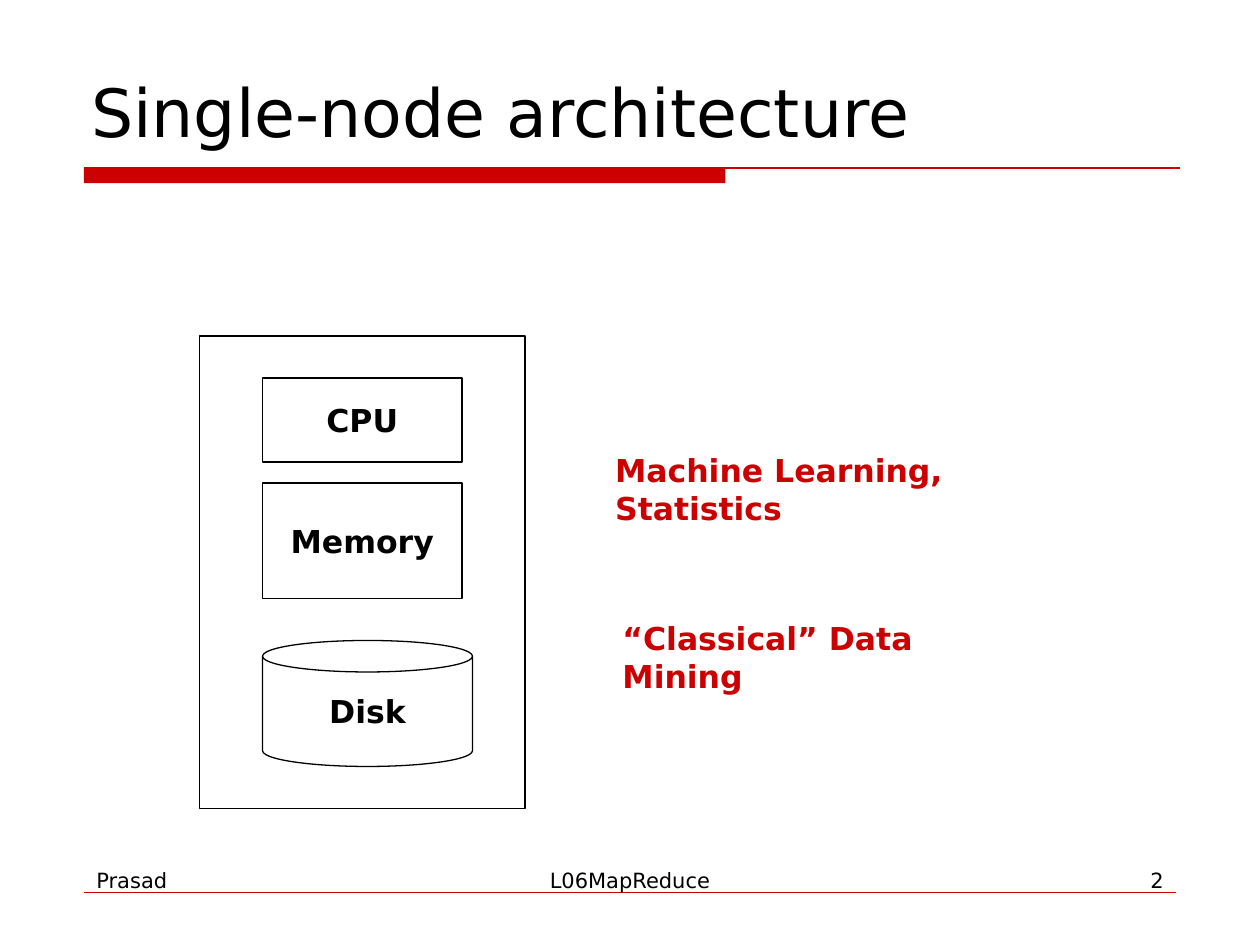
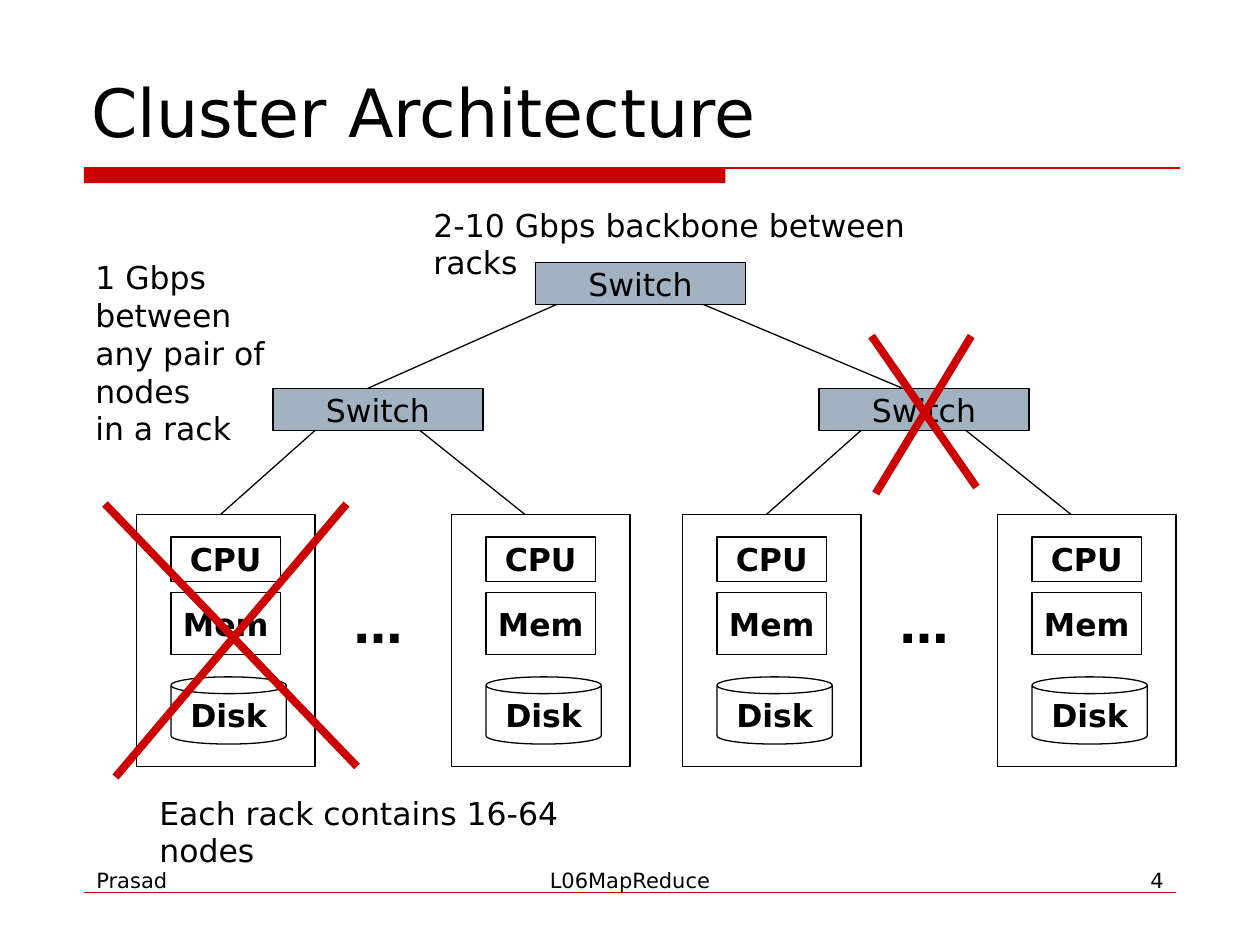
"""Build two slides on single-node and cluster architecture."""
import pptx
import pptx.dml.color
import pptx.enum.shapes
import pptx.enum.text
import pptx.oxml
import pptx.util

COLORS = {"ink": "000000", "accent": "CC0000", "switch": "A3B2C1"}
FONT = "DejaVu Sans"
COLUMNS, ROWS = 120, 90
RECTANGLE = pptx.enum.shapes.MSO_SHAPE.RECTANGLE
CAN = pptx.enum.shapes.MSO_SHAPE.CAN
LEFT, CENTER, RIGHT = (pptx.enum.text.PP_ALIGN.LEFT, pptx.enum.text.PP_ALIGN.CENTER,
                       pptx.enum.text.PP_ALIGN.RIGHT)
TOP, MIDDLE, BOTTOM = (pptx.enum.text.MSO_ANCHOR.TOP, pptx.enum.text.MSO_ANCHOR.MIDDLE,
                       pptx.enum.text.MSO_ANCHOR.BOTTOM)

presentation = pptx.Presentation()
presentation.slide_width = pptx.util.Inches(10)
presentation.slide_height = pptx.util.Inches(7.5)
column = presentation.slide_width / COLUMNS
row = presentation.slide_height / ROWS


def add_box(slide, cells, text="", kind=None, fill=None, line="ink", size=18,
            bold=False, color="ink", align=LEFT, anchor=TOP):
    """Add a text box, or a preset shape when kind is given, on the grid."""
    left, top, width, height = cells
    frame = [int(left * column), int(top * row), int(width * column), int(height * row)]
    if kind is None:
        shape = slide.shapes.add_textbox(*frame)
    else:
        shape = slide.shapes.add_shape(kind, *frame)
        shape.shadow.inherit = False
        if fill:
            shape.fill.solid()
            shape.fill.fore_color.rgb = pptx.dml.color.RGBColor.from_string(COLORS[fill])
        else:
            shape.fill.background()
        if line:
            shape.line.color.rgb = pptx.dml.color.RGBColor.from_string(COLORS[line])
            shape.line.width = pptx.util.Pt(0.75)
        else:
            shape.line.fill.background()
    if text:
        text_frame = shape.text_frame
        text_frame.text = text
        text_frame.word_wrap = kind is None
        text_frame.vertical_anchor = anchor
        for paragraph in text_frame.paragraphs:
            paragraph.alignment = align
            for run in paragraph.runs:
                run.font.name = FONT
                run.font.size = pptx.util.Pt(size)
                run.font.bold = bold
                run.font.color.rgb = pptx.dml.color.RGBColor.from_string(COLORS[color])


def add_line(slide, start, end, color="ink", width=0.75):
    """Add a straight line between two grid points."""
    connector = slide.shapes.add_connector(
        pptx.enum.shapes.MSO_CONNECTOR.STRAIGHT,
        int(start[0] * column), int(start[1] * row), int(end[0] * column), int(end[1] * row))
    connector.line.color.rgb = pptx.dml.color.RGBColor.from_string(COLORS[color])
    connector.line.width = pptx.util.Pt(width)
    properties = connector._element.spPr
    properties.append(properties.makeelement(pptx.oxml.ns.qn("a:effectLst"), {}))


slides = []
for title, number in [("Single-node architecture", "2"), ("Cluster Architecture", "4")]:
    slide = presentation.slides.add_slide(presentation.slide_layouts[6])
    add_box(slide, (8, 16, 61.1, 1.45), kind=RECTANGLE, fill="accent", line=None)
    add_line(slide, (8, 16), (112.4, 16), "accent")
    add_line(slide, (8, 85), (112, 85), "accent", 0.25)
    add_box(slide, (7.5, 3, 105, 12), title, size=38, anchor=BOTTOM)
    for left, width, text, align in [(8, 26, "Prasad", LEFT), (41, 38, "L06MapReduce", CENTER),
                                     (86, 26, number, RIGHT)]:
        add_box(slide, (left, 82, width, 6.2), text, size=12, align=align)
    slides.append(slide)
single, cluster = slides

NODE_COLUMNS, NODE_ROWS = 31, 45
NODE_PARTS = [(RECTANGLE, "memory", 6, 14, 19, 11), (CAN, "Disk", 6, 29, 20, 12),
              (RECTANGLE, "CPU", 6, 4, 19, 8)]
nodes = [(single, 19, 32, 31, 45, "Memory")]
nodes += [(cluster, left, 49, 17, 24, "Mem") for left in (13, 43, 65, 95)]
for slide, left, top, width, height, memory in nodes:
    across, down = width / NODE_COLUMNS, height / NODE_ROWS
    for kind, text, part_left, part_top, part_width, part_height in NODE_PARTS:
        cells = (left + part_left * across, top + part_top * down,
                 part_width * across, part_height * down)
        add_box(slide, cells, memory if text == "memory" else text, kind,
                bold=True, align=CENTER, anchor=MIDDLE)
    add_box(slide, (left, top, width, height), kind=RECTANGLE)

for cells, text in [((57.4, 42.4, 44.8, 4.8), "Machine Learning, Statistics"),
                    ((58.1, 58.4, 37.1, 4.8), "“Classical” Data Mining")]:
    add_box(single, cells, text, bold=True, color="accent")

for cells, text in [((14, 75, 46.6, 4.8), "Each rack contains 16-64 nodes"),
                    ((7.9, 24, 25.2, 12), "1 Gbps between\nany pair of nodes\nin a rack"),
                    ((40.1, 19, 52.3, 4.8), "2-10 Gbps backbone between racks")]:
    add_box(cluster, cells, text)

for left, top in [(26, 37), (78, 37), (51, 25)]:
    add_box(cluster, (left, top, 20, 4), "Switch", RECTANGLE, "switch",
            align=CENTER, anchor=MIDDLE)
for rack in (0, 52):
    add_box(cluster, (32.5 + rack, 56, 6.4, 6.8), "…", size=28, bold=True)
    add_line(cluster, (30 + rack, 41), (21 + rack, 49))
    add_line(cluster, (40 + rack, 41), (50 + rack, 49))
add_line(cluster, (35, 37), (53, 29))
add_line(cluster, (67, 29), (86, 37))

for start, end in [((10, 48), (34, 73)), ((33, 48), (11, 74)),
                   ((83, 32), (93, 46.4)), ((92.5, 32), (83.4, 47))]:
    add_line(cluster, start, end, "accent", 4.5)

presentation.save("out.pptx")
